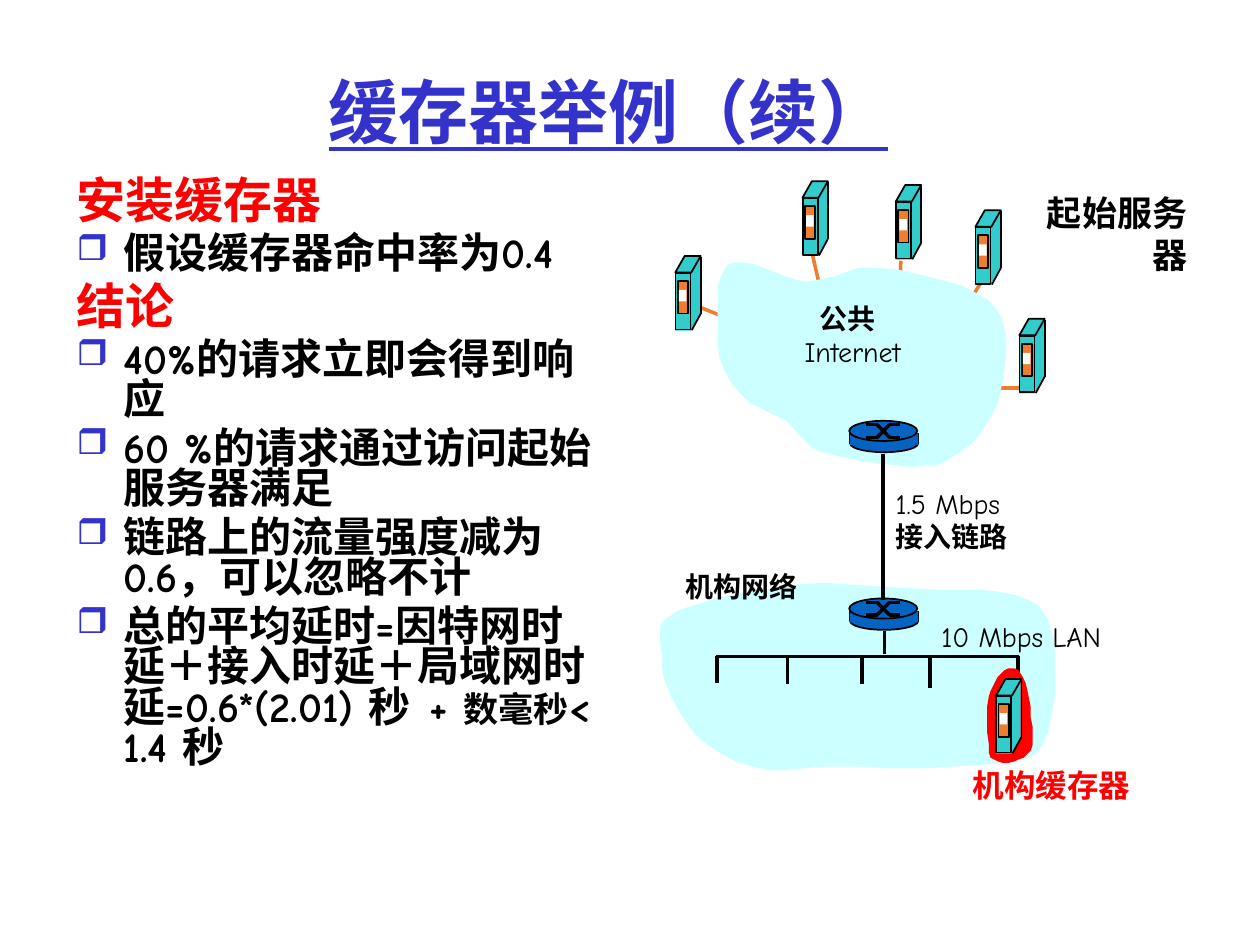
from dataclasses import dataclass
from typing import NamedTuple, Optional

import lxml.etree
import pptx
import pptx.dml.color
import pptx.enum.shapes
import pptx.enum.text
import pptx.oxml.ns
import pptx.util

COLORS = {
    "title": "3333CC", "heading": "FF0000", "ink": "000000", "server": "33CCCC",
    "panel": "ED7D31", "slot": "FFFFFF", "cloud": "CCFFFF", "router": "0563C1",
}
FONT = "Comic Neue"
KIND = pptx.enum.shapes.MSO_SHAPE
ALIGN = pptx.enum.text.PP_ALIGN
MIDDLE = pptx.enum.text.MSO_ANCHOR.MIDDLE
Pt = pptx.util.Pt


class Point(NamedTuple):
    x: float
    y: float


class Run(NamedTuple):
    text: str
    size: float
    color: str = "ink"
    bold: bool = True
    underline: bool = False


class Part(NamedTuple):
    kind: int
    x: float
    y: float
    width: float
    height: float
    fill: str
    outlined: bool = False
    slant: Optional[float] = None


class Stroke(NamedTuple):
    x1: float
    y1: float
    x2: float
    y2: float
    width: float = 1
    color: str = "ink"


@dataclass
class Paragraph:
    runs: list[Run]
    bullet: bool = False


@dataclass
class Label:
    x: float
    y: float
    width: float
    height: float
    lines: list[Run]
    align: int = ALIGN.CENTER


SERVER = [
    Part(KIND.PARALLELOGRAM, 0, 32.8, 14.5, 9.8, "server", slant=0.57),
    Part(KIND.RECTANGLE, 7.4, 0.4, 6.6, 33, "server"),
    Part(KIND.RECTANGLE, 0.1, 9.6, 8.6, 32.4, "server", True),
    Part(KIND.PARALLELOGRAM, 0, 0, 14.5, 9.4, "server", True, 0.57),
    Stroke(14.5, 0.6, 14.5, 33),
    Stroke(14.5, 33, 9.4, 42.4),
    Part(KIND.RECTANGLE, 1.4, 14.2, 5.8, 18.7, "panel", True),
    Part(KIND.RECTANGLE, 2.1, 19.4, 4.3, 6.5, "slot"),
]
ROUTER = [
    Part(KIND.OVAL, 0.5, 7.9, 38.9, 10, "router", True),
    Stroke(0.5, 7.2, 0.5, 13),
    Stroke(39.4, 7.2, 39.4, 13),
    Part(KIND.RECTANGLE, 0.5, 7.2, 38.9, 6.5, "router"),
    Part(KIND.OVAL, 0, 0, 38.9, 11.5, "router", True),
    *[stroke for start, end in ((2.2, 9.4), (9.4, 2.2)) for stroke in (
        Stroke(9.4, start, 16.4, start, 2),
        Stroke(15.9, start, 23, end, 2),
        Stroke(23, end, 28.8, end, 2))],
]
ORIGIN_SERVERS = [Point(385.9, 146.3), Point(458.6, 103.6), Point(511.9, 105.8),
                  Point(557.4, 120.2), Point(582.5, 182.2)]
CACHE_SERVER = Point(569.2, 388.1)
ROUTERS = [Point(485.3, 240.5), Point(485.3, 342)]
SERVER_LINKS = [(400.3, 175.7, 423.4, 185), (464.4, 146.2, 469.4, 167.8),
                (514.8, 149, 514.1, 167.8), (560.2, 162, 550.1, 178.6),
                (582.5, 221.8, 562.3, 221.8)]
LAN_DROPS = [(409.7, 390.2), (450, 391), (492.5, 391), (531.4, 393.1), (581.8, 393.1)]

INTERNET = [
    (410, 194), (410, 184), (410, 170), (410, 164), (412, 158), (414, 154), (416, 151),
    (420, 150), (425, 150), (431, 151), (436, 153), (449, 158), (455, 160), (461, 161),
    (467, 160), (472, 159), (477, 158), (487, 154), (492, 153), (499, 153), (513, 154),
    (530, 158), (549, 163), (557, 167), (564, 171), (569, 176), (572, 181), (574, 188),
    (575, 195), (575, 203), (573, 218), (570, 231), (564, 242), (557, 252), (552, 256),
    (546, 260), (541, 263), (535, 266), (528, 266), (521, 267), (512, 266), (495, 264),
    (480, 261), (469, 258), (464, 256), (459, 251), (449, 240), (442, 237), (428, 230),
    (423, 225), (418, 219), (414, 212), (411, 204)]
CAMPUS = [
    (378, 373), (377, 366), (377, 359), (378, 356), (380, 354), (383, 352), (387, 349),
    (393, 347), (400, 345), (409, 342), (418, 340), (437, 337), (447, 336), (455, 334),
    (471, 333), (485, 334), (500, 335), (517, 336), (537, 337), (559, 337), (570, 338),
    (580, 340), (588, 343), (592, 345), (595, 348), (597, 351), (599, 354), (600, 359),
    (602, 364), (603, 374), (603, 386), (603, 397), (601, 408), (599, 418), (596, 425),
    (593, 430), (588, 433), (582, 435), (575, 436), (561, 437), (546, 438), (528, 439),
    (508, 439), (489, 438), (472, 438), (459, 439), (449, 440), (439, 440), (430, 438),
    (420, 435), (411, 430), (402, 424), (395, 417), (389, 408), (383, 397), (381, 392),
    (379, 386), (378, 379)]
CACHE_HALO = [
    (566, 395), (567, 393), (568, 391), (570, 387), (572, 385), (574, 383), (576, 382),
    (580, 382), (582, 383), (584, 386), (586, 390), (587, 394), (588, 399), (589, 404),
    (589, 410), (590, 415), (590, 426), (589, 429), (587, 431), (585, 433), (582, 434),
    (580, 435), (576, 436), (573, 436), (570, 435), (568, 434), (566, 433), (565, 430),
    (565, 425), (564, 418), (564, 404), (565, 398)]

TITLE = Label(41.8, 18, 612, 90, [Run("缓存器举例（续）", 40, "title", underline=True)])
LABELS = [
    Label(572, 105.8, 113.5, 31, [Run("起始服务器", 20)], ALIGN.RIGHT),
    Label(442, 168.5, 85, 46, [Run("公共", 16), Run(" Internet", 16, bold=False)]),
    Label(380.5, 321.8, 86.5, 26.6, [Run("机构网络", 16)]),
    Label(526.3, 350.6, 114.5, 26.6, [Run("10 Mbps LAN", 16, bold=False)]),
    Label(504.7, 274.3, 85, 46, [Run("1.5 Mbps", 16, bold=False), Run("接入链路", 16)],
          ALIGN.LEFT),
    Label(545.6, 434.2, 110.4, 28.8, [Run("机构缓存器", 18, "heading")]),
]
BODY = [
    Paragraph([Run("安装缓存器", 28, "heading")]),
    Paragraph([Run("假设缓存器命中率为0.4", 24)], True),
    Paragraph([Run("结论", 28, "heading")]),
    Paragraph([Run("40%的请求立即会得到响应", 24)], True),
    Paragraph([Run("60 %的请求通过访问起始服务器满足", 24)], True),
    Paragraph([Run("链路上的流量强度减为0.6，可以忽略不计", 24)], True),
    Paragraph([Run("总的平均延时=因特网时延＋接入时延＋局域网时延=0.6*(2.01) 秒  + ", 24),
               Run("数毫秒", 20), Run("< 1.4 秒", 24)], True),
]


def rgb(name: str) -> pptx.dml.color.RGBColor:
    return pptx.dml.color.RGBColor.from_string(COLORS[name])


def paint(shape, fill: str, outlined: bool = False) -> None:
    shape.shadow.inherit = False
    shape.fill.solid()
    shape.fill.fore_color.rgb = rgb(fill)
    if outlined:
        shape.line.color.rgb = rgb("ink")
        shape.line.width = Pt(1)
    else:
        shape.line.fill.background()


def draw_stroke(slide, stroke: Stroke, at: Point = Point(0, 0)) -> None:
    connector = slide.shapes.add_connector(
        pptx.enum.shapes.MSO_CONNECTOR.STRAIGHT, Pt(at.x + stroke.x1), Pt(at.y + stroke.y1),
        Pt(at.x + stroke.x2), Pt(at.y + stroke.y2))
    connector.line.color.rgb = rgb(stroke.color)
    connector.line.width = Pt(stroke.width)
    lxml.etree.SubElement(connector._element.spPr, pptx.oxml.ns.qn("a:effectLst"))


def draw_device(slide, parts: list, at: Point) -> None:
    for part in parts:
        if isinstance(part, Stroke):
            draw_stroke(slide, part, at)
            continue
        shape = slide.shapes.add_shape(part.kind, Pt(at.x + part.x), Pt(at.y + part.y),
                                       Pt(part.width), Pt(part.height))
        if part.slant is not None:
            shape.adjustments[0] = part.slant
        paint(shape, part.fill, part.outlined)


def draw_area(slide, outline: list, fill: str) -> None:
    corners = [(Pt(x), Pt(y)) for x, y in outline]
    builder = slide.shapes.build_freeform(*corners[0], scale=1.0)
    builder.add_line_segments(corners[1:], close=True)
    paint(builder.convert_to_shape(), fill)


def add_frame(slide, x: float, y: float, width: float, height: float):
    frame = slide.shapes.add_textbox(Pt(x), Pt(y), Pt(width), Pt(height)).text_frame
    frame.word_wrap = True
    return frame


def add_run(paragraph, content: Run) -> None:
    run = paragraph.add_run()
    run.text = content.text
    run.font.name = FONT
    run.font.size = Pt(content.size)
    run.font.bold = content.bold
    run.font.underline = content.underline
    run.font.color.rgb = rgb(content.color)


def draw_label(slide, label: Label):
    frame = add_frame(slide, label.x, label.y, label.width, label.height)
    for index, line in enumerate(label.lines):
        paragraph = frame.add_paragraph() if index else frame.paragraphs[0]
        paragraph.alignment = label.align
        add_run(paragraph, line)
    return frame


def add_bullet(properties) -> None:
    qn = pptx.oxml.ns.qn
    color = lxml.etree.SubElement(properties, qn("a:buClr"))
    lxml.etree.SubElement(color, qn("a:srgbClr"), val=COLORS["title"])
    lxml.etree.SubElement(properties, qn("a:buSzPct"), val="85000")
    lxml.etree.SubElement(properties, qn("a:buChar"), char="❒")


def draw_body(slide) -> None:
    frame = add_frame(slide, 36.7, 100, 311.8, 365.8)
    for index, content in enumerate(BODY):
        paragraph = frame.add_paragraph() if index else frame.paragraphs[0]
        properties = paragraph._p.get_or_add_pPr()
        properties.set("marL", str(int(Pt(27))))
        properties.set("indent", str(int(Pt(-27))))
        if content.bullet:
            add_bullet(properties)
        paragraph.line_spacing = 0.8
        if index:
            paragraph.space_before = Pt(content.runs[0].size * 0.2)
        for run in content.runs:
            add_run(paragraph, run)


def main() -> None:
    deck = pptx.Presentation()
    deck.slide_width, deck.slide_height = Pt(720), Pt(540)
    slide = deck.slides.add_slide(deck.slide_layouts[6])
    draw_label(slide, TITLE).vertical_anchor = MIDDLE
    draw_body(slide)
    for link in SERVER_LINKS:
        draw_stroke(slide, Stroke(*link, 2, "panel"))
    for server in ORIGIN_SERVERS:
        draw_device(slide, SERVER, server)
    draw_area(slide, INTERNET, "cloud")
    draw_area(slide, CAMPUS, "cloud")
    draw_stroke(slide, Stroke(409, 375.1, 582.5, 375.1, 2))
    for x, bottom in LAN_DROPS:
        draw_stroke(slide, Stroke(x, 375.1, x, bottom, 2))
    draw_area(slide, CACHE_HALO, "heading")
    draw_device(slide, SERVER, CACHE_SERVER)
    for router in ROUTERS:
        draw_device(slide, ROUTER, router)
    draw_stroke(slide, Stroke(504.7, 259.2, 504.7, 342.7, 2))
    draw_stroke(slide, Stroke(505.4, 360.7, 505.4, 373.7, 2))
    for label in LABELS:
        draw_label(slide, label)
    deck.save("out.pptx")


if __name__ == "__main__":
    main()
